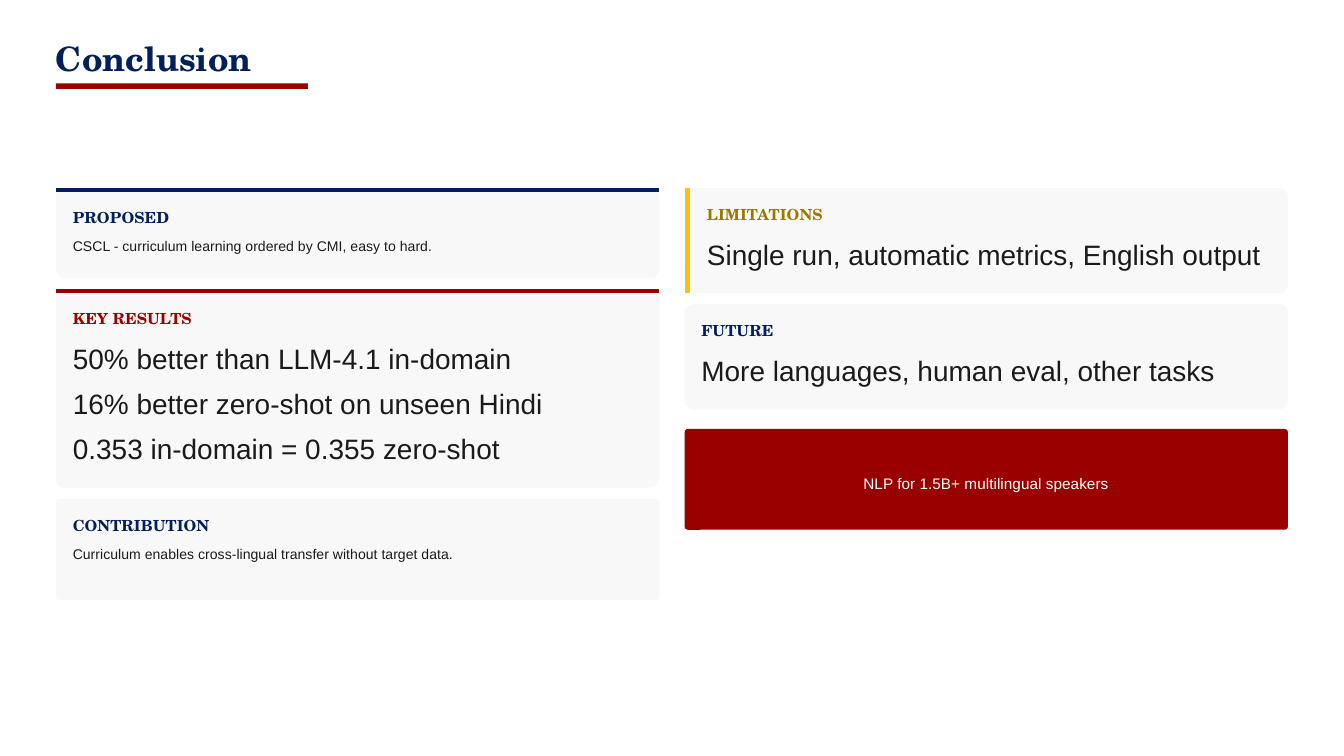
import pptx
import pptx.dml.color
import pptx.enum.shapes
import pptx.enum.text
import pptx.oxml.ns
import pptx.util
from lxml import etree

COLS, ROWS = 240, 135  # grid cells of 1/24 inch
NAVY, RED, GOLD, OCHRE = "011F5B", "990000", "FFC107", "997A00"
INK, GREY, WHITE = "1A1A1A", "F8F8F8", "FFFFFF"
SERIF, SANS = "TeX Gyre Schola", "Arial"


def cell(n):
    return int(pptx.util.Inches(n / 24))


def paint(hue):
    return pptx.dml.color.RGBColor.from_string(hue)


def write(shape, text, size=15, hue=INK, font=SANS, bold=False, lead=1.4,
          align="LEFT", gap=3):
    """Fill a shape's text frame, one paragraph for each line of text."""
    frame = shape.text_frame
    frame.word_wrap = True
    frame.auto_size = pptx.enum.text.MSO_AUTO_SIZE.NONE
    frame.vertical_anchor = pptx.enum.text.MSO_ANCHOR.TOP
    frame.margin_left = frame.margin_top = 0
    frame.margin_right = frame.margin_bottom = 0
    for i, line in enumerate(text.split("\n")):
        para = frame.paragraphs[0] if i == 0 else frame.add_paragraph()
        props = para._p.get_or_add_pPr()
        props.set("marL", "0")
        props.set("indent", "0")
        etree.SubElement(props, pptx.oxml.ns.qn("a:buNone"))
        para.alignment = getattr(pptx.enum.text.PP_ALIGN, align)
        para.line_spacing = pptx.util.Pt(round(size * lead, 1))
        para.space_before = pptx.util.Pt(gap if i else 0)
        para.space_after = pptx.util.Pt(0)
        run = para.add_run()
        run.text = line
        run.font.size = pptx.util.Pt(size)
        run.font.name = font
        run.font.bold = bold
        run.font.color.rgb = paint(hue)


class Deck:
    left, gap, wide = 10, 4.5, 107.75
    pad, top, space = 3, 33.6, 2

    def __init__(self):
        self.file = pptx.Presentation()
        self.file.slide_width = cell(COLS)
        self.file.slide_height = cell(ROWS)
        self.slide = self.file.slides.add_slide(self.file.slide_layouts[1])
        self.right = self.left + self.wide + self.gap

    def place(self, shape, x, y, w, h):
        shape.left, shape.top = cell(x), cell(y)
        shape.width, shape.height = cell(w), cell(h)

    def title(self, text):
        head = self.slide.shapes.title
        self.place(head, self.left, 7.9, 112.5, 6)
        write(head, text, size=18, hue=NAVY, font=SERIF, bold=True, lead=1)
        self.block(self.left, 14.9, 45, 1, RED)

    def block(self, x, y, w, h, hue, curve=0):
        kinds = pptx.enum.shapes.MSO_SHAPE
        kind = kinds.ROUNDED_RECTANGLE if curve else kinds.RECTANGLE
        shape = self.slide.shapes.add_shape(kind, cell(x), cell(y),
                                            cell(w), cell(h))
        if curve:
            shape.adjustments[0] = curve / min(w, h)
        shape.shadow.inherit = False
        shape.fill.solid()
        shape.fill.fore_color.rgb = paint(hue)
        shape.line.fill.background()

    def line(self, x, y, dx, dy, hue, width):
        rule = self.slide.shapes.add_connector(
            pptx.enum.shapes.MSO_CONNECTOR.STRAIGHT,
            cell(x), cell(y), cell(x + dx), cell(y + dy))
        rule.line.color.rgb = paint(hue)
        rule.line.width = pptx.util.Pt(width)
        etree.SubElement(rule.element.spPr, pptx.oxml.ns.qn("a:effectLst"))

    def text(self, x, y, w, h, words, **style):
        box = self.slide.shapes.add_textbox(cell(x), cell(y),
                                            cell(w), cell(h))
        write(box, words, **style)

    def list(self, x, y, w, h, words, **style):
        body = self.slide.placeholders[1]
        body.element.getparent().append(body.element)  # bring to front
        self.place(body, x, y, w, h)
        write(body, words, **style)

    def card(self, x, y, high, head, words, hue=NAVY, size=15, curve=1.5,
             bar=None, side=None):
        """Draw a card and return the row where the next one starts."""
        self.block(x, y, self.wide, high, GREY, curve)
        tx, ty = x + self.pad, y + self.pad
        if bar:
            self.line(x, y + 0.35, self.wide, 0, bar, 2.25)
            ty += 0.6
        if side:
            self.line(x + 0.5, y, 0, high, side, 3)
            tx += 1
        span = x + self.wide - 1.1 - tx
        self.text(tx, ty, span, 3.3, head, size=8.25, hue=hue, font=SERIF,
                  bold=True, lead=1.2)
        count = words.count("\n") + 1
        tall = (size * 1.4 * count + 3 * (count - 1)) / 3
        put = self.list if count > 1 else self.text
        put(tx, ty + 4.8, span, tall, words, size=size)
        return y + high + self.space


deck = Deck()
deck.title("Conclusion")

# Left column
row = deck.card(deck.left, deck.top, 16, "PROPOSED",
                "CSCL - curriculum learning ordered by CMI, easy to hard.",
                size=7.5, bar=NAVY)
row = deck.card(deck.left, row, 35.5, "KEY RESULTS",
                "50% better than LLM-4.1 in-domain\n"
                "16% better zero-shot on unseen Hindi\n"
                "0.353 in-domain = 0.355 zero-shot", hue=RED, bar=RED)
deck.card(deck.left, row, 18, "CONTRIBUTION",
          "Curriculum enables cross-lingual transfer without target data.",
          size=7.5, curve=0.6)

# Right column
row = deck.card(deck.right, deck.top, 18.75, "LIMITATIONS",
                "Single run, automatic metrics, English output",
                hue=OCHRE, side=GOLD)
row = deck.card(deck.right, row, 18.75, "FUTURE",
                "More languages, human eval, other tasks")

# Closing callout
row += 1.5
deck.block(deck.right, row, deck.wide, 18, RED, 0.6)
deck.text(deck.right + 2, row + 7.6, deck.wide - 4, 3.9,
          "NLP for 1.5B+ multilingual speakers", size=8.25, hue=WHITE,
          align="CENTER")

deck.file.save("out.pptx")
